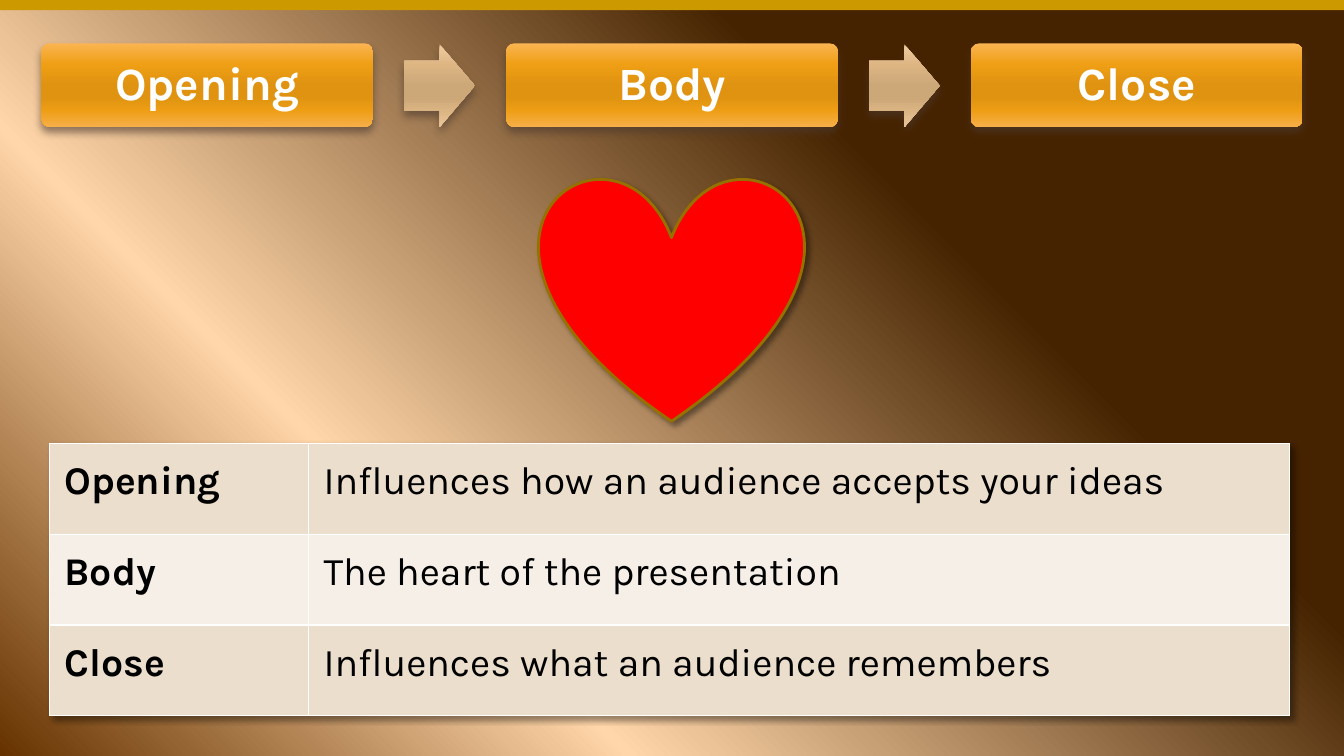
from lxml.etree import SubElement
from pptx import Presentation
from pptx.dml.color import RGBColor
from pptx.enum.shapes import MSO_SHAPE as SHAPE
from pptx.enum.text import MSO_ANCHOR, PP_ALIGN
from pptx.oxml.ns import qn
from pptx.util import Inches, Pt

COLORS = {
    "bar": "CC9900", "heart": "FF0000", "heart_line": "977100",
    "white": "FFFFFF", "black": "000000", "step_shadow": "4E3B30",
    "odd_row": "ECDECC", "even_row": "F6EFE7",
}
BACKGROUND = [(0, "462300"), (30, "462300"), (70, "FFD6A9"), (100, "663300")]
STOPS = (0, 25, 50, 65, 80, 100)
STEP = list(zip(STOPS, ("FBB552", "EF9F15", "DF9311", "DF9311", "EE9E14", "F6AF49")))
ARROW = list(zip(STOPS, ("F0CCA1", "DDB583", "CCA778", "CCA778", "DBB483", "EAC69A")))
FONT = "Karla"
STEPS = ["Opening", "Body", "Close"]
INFLUENCES = [
    "Influences how an audience accepts your ideas",
    "The heart of the presentation",
    "Influences what an audience remembers",
]


def rgb(name):
    """Return the named colour."""
    return RGBColor.from_string(COLORS[name])


def set_gradient(fill, root, stops, angle):
    """Give a fill found under root a linear gradient, angle clockwise."""
    fill.gradient()
    grad = root.find(".//" + qn("a:gradFill"))
    stop_list = grad.find(qn("a:gsLst"))
    for old in list(stop_list):
        stop_list.remove(old)
    for pos, color in stops:
        gs = SubElement(stop_list, qn("a:gs"), pos=str(pos * 1000))
        SubElement(gs, qn("a:srgbClr"), val=color)
    grad.find(qn("a:lin")).set("ang", str(angle * 60000))


def add_shadow(effects, color, alpha, blur, dist, angle):
    """Add an outer shadow to an effect list."""
    shadow = SubElement(effects, qn("a:outerShdw"), blurRad=str(Pt(blur)),
                        dist=str(Pt(dist)), dir=str(angle * 60000),
                        algn="ctr", rotWithShape="0")
    clr = SubElement(shadow, qn("a:srgbClr"), val=COLORS[color])
    SubElement(clr, qn("a:alpha"), val=str(alpha * 1000))


def add_shape(s, kind, box, shadow=None):
    """Add a preset shape without outline, with an optional shadow."""
    sp = s.shapes.add_shape(kind, *map(Inches, box))
    sp.shadow.inherit = False
    sp.line.fill.background()
    if shadow:
        add_shadow(sp.element.spPr.find(qn("a:effectLst")), *shadow)
    return sp


def format_text(p, size, color, bold):
    """Format the runs of a paragraph."""
    for r in p.runs:
        r.font.name, r.font.size, r.font.bold = FONT, Pt(size), bold
        r.font.color.rgb = rgb(color)


def set_margins(target, inset):
    """Set four equal margins on a text frame or a cell."""
    target.margin_left = target.margin_right = Inches(inset)
    target.margin_top = target.margin_bottom = Inches(inset)


def add_backdrop(s, width):
    """Paint the background and the bar along the top."""
    set_gradient(s.background.fill, s.element, BACKGROUND, 135)
    bar = add_shape(s, SHAPE.RECTANGLE, (0, 0, width, 0.1))
    bar.fill.solid()
    bar.fill.fore_color.rgb = rgb("bar")


def add_process(s, left, top, width, height):
    """Draw the steps in a row with an arrow in each gap."""
    shadow = ("step_shadow", 60, 6, 4, 90)
    step_w, arrow_w = 3.29, 0.7
    pitch = (width - step_w) / (len(STEPS) - 1)
    arrow_x = (step_w + pitch - arrow_w) / 2
    for i, name in enumerate(STEPS):
        x = left + i * pitch
        step = add_shape(s, SHAPE.ROUNDED_RECTANGLE, (x, top, step_w, height), shadow)
        step.adjustments[0] = 0.1
        set_gradient(step.fill, step.element, STEP, 90)
        tf = step.text_frame
        tf.word_wrap = True
        tf.vertical_anchor = MSO_ANCHOR.MIDDLE
        set_margins(tf, 0.14)
        tf.text = name
        p = tf.paragraphs[0]
        p.alignment, p.line_spacing = PP_ALIGN.CENTER, 0.9
        format_text(p, 33, "white", True)
        if i < len(STEPS) - 1:
            arrow = add_shape(s, SHAPE.RIGHT_ARROW,
                              (x + arrow_x, top + 0.01, arrow_w, height - 0.01), shadow)
            arrow.adjustments[0] = 0.6
            set_gradient(arrow.fill, arrow.element, ARROW, 90)


def add_cell_borders(cell):
    """Draw thin white lines on all sides of a cell."""
    tc_pr = cell._tc.get_or_add_tcPr()
    for side in ("lnL", "lnR", "lnT", "lnB"):
        ln = SubElement(tc_pr, qn("a:" + side), w=str(Pt(1)))
        SubElement(SubElement(ln, qn("a:solidFill")), qn("a:srgbClr"), val=COLORS["white"])


def add_influences(s, left, top, width, height):
    """Add the table that explains each step."""
    frame = s.shapes.add_table(len(STEPS), 2, *map(Inches, (left, top, width, height)))
    table = frame.table
    table.first_row = table.horz_banding = False
    name_w = 2.57
    table.columns[0].width = Inches(name_w)
    table.columns[1].width = Inches(width - name_w)
    tbl_pr = table._tbl.tblPr
    effects = SubElement(tbl_pr, qn("a:effectLst"))
    tbl_pr.insert(0, effects)
    add_shadow(effects, "black", 40, 4, 3, 45)
    for i, row in enumerate(zip(STEPS, INFLUENCES)):
        for j, text in enumerate(row):
            cell = table.cell(i, j)
            add_cell_borders(cell)
            cell.fill.solid()
            cell.fill.fore_color.rgb = rgb("even_row" if i % 2 else "odd_row")
            set_margins(cell, 0.15)
            cell.text_frame.text = text
            format_text(cell.text_frame.paragraphs[0], 28, "black", j == 0)


def add_heart(s, left, top, width, height):
    """Draw the heart under the middle step."""
    heart = add_shape(s, SHAPE.HEART, (left, top, width, height), ("black", 40, 4, 3, 45))
    heart.fill.solid()
    heart.fill.fore_color.rgb = rgb("heart")
    heart.line.color.rgb = rgb("heart_line")
    heart.line.width = Pt(2)


def main():
    """Build and save the slide."""
    prs = Presentation()
    prs.slide_width, prs.slide_height = Inches(13.33), Inches(7.5)
    s = prs.slides.add_slide(prs.slide_layouts[6])
    add_backdrop(s, 13.33)
    add_process(s, 0.41, 0.43, 12.51, 0.83)
    add_influences(s, 0.49, 4.4, 12.3, 2.7)
    add_heart(s, 5.35, 1.75, 2.62, 2.43)
    prs.save("out.pptx")


if __name__ == "__main__":
    main()
